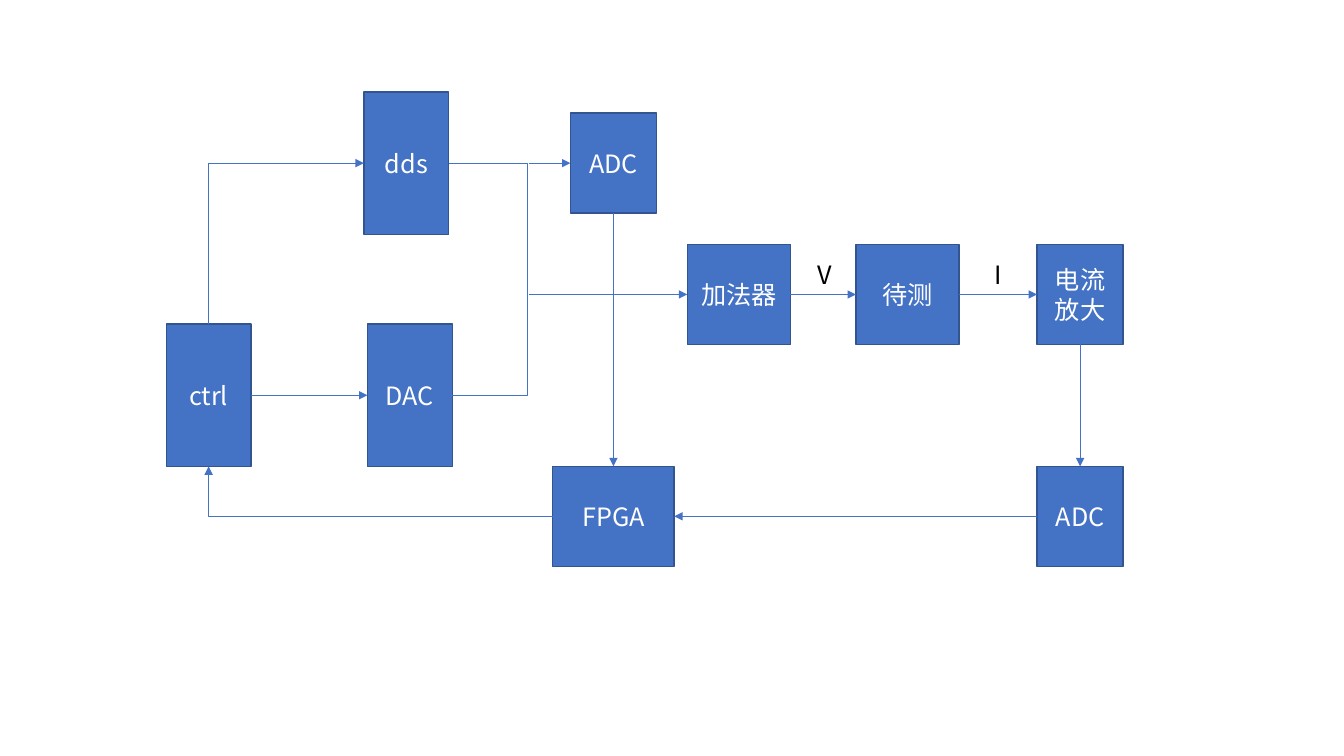
from lxml.etree import SubElement
from pptx import Presentation
from pptx.dml.color import RGBColor
from pptx.enum.shapes import MSO_CONNECTOR as Connector, MSO_SHAPE as Shape
from pptx.enum.text import MSO_ANCHOR as Anchor, MSO_AUTO_SIZE as AutoSize, PP_ALIGN as Align
from pptx.oxml.ns import qn
from pptx.util import Cm, Pt

FONT = "Noto Sans CJK SC"
COLORS = {"block": "4472C4", "border": "325491", "light": "FFFFFF", "dark": "000000"}
ROWS = {"source": 4.11, "signal": 7.42, "control": 9.96, "digital": 13.01}
SIZES = {"tall": (2.14, 3.59), "square": (2.6, 2.52), "narrow": (2.17, 2.52), "wide": (3.06, 2.52)}
BLOCKS = [
    ("controller", "ctrl", 5.26, "control", "tall"),
    ("dds", "dds", 10.24, "source", "tall"),
    ("dac", "DAC", 10.33, "control", "tall"),
    ("source_adc", "ADC", 15.46, "source", "narrow"),
    ("adder", "加法器", 18.62, "signal", "square"),
    ("device", "待测", 22.87, "signal", "square"),
    ("amplifier", "电流放大", 27.22, "signal", "narrow"),
    ("current_adc", "ADC", 27.22, "digital", "narrow"),
    ("fpga", "FPGA", 15.46, "digital", "wide"),
]
TOP, LEFT, BOTTOM, RIGHT = range(4)
STRAIGHT_LINKS = [
    ("controller", RIGHT, "dac", LEFT),
    ("adder", RIGHT, "device", LEFT),
    ("device", RIGHT, "amplifier", LEFT),
    ("amplifier", BOTTOM, "current_adc", TOP),
    ("current_adc", LEFT, "fpga", RIGHT),
    ("source_adc", BOTTOM, "fpga", TOP),
]
CORNER_LINKS = [
    ("dds", LEFT, "controller", TOP, "headEnd"),
    ("fpga", LEFT, "controller", BOTTOM, "tailEnd"),
]
BUS_X = 13.28
TAP_X = 13.33
TAPS = ["source_adc", "adder"]
SIGNAL_LABELS = [("V", 20.35, 0.91), ("I", 24.82, 0.69)]
LABEL_TOP, LABEL_HEIGHT = 6.4, 1.02


def color(name):
    return RGBColor.from_string(COLORS[name])


def write(shape, text, color_name):
    shape.text_frame.text = text
    for run in shape.text_frame.paragraphs[0].runs:
        run.font.size = Pt(18)
        run.font.name = FONT
        run.font.color.rgb = color(color_name)
        SubElement(run.font._element, qn("a:ea"), typeface=FONT)


def add_block(text, center_x, row, size):
    width, height = SIZES[size]
    shape = slide.shapes.add_shape(
        Shape.RECTANGLE, Cm(center_x - width / 2), Cm(ROWS[row] - height / 2), Cm(width), Cm(height))
    shape.shadow.inherit = False
    shape.fill.solid()
    shape.fill.fore_color.rgb = color("block")
    shape.line.color.rgb = color("border")
    shape.line.width = Pt(1)
    write(shape, text, "light")
    shape.text_frame.word_wrap = True
    shape.text_frame.vertical_anchor = Anchor.MIDDLE
    shape.text_frame.paragraphs[0].alignment = Align.CENTER
    return shape


def add_link(kind, start, end, arrow=None):
    connector = slide.shapes.add_connector(kind, 0, 0, 0, 0)
    for anchor, connect in ((start, connector.begin_connect), (end, connector.end_connect)):
        if anchor:
            block, site = anchor
            connect(blocks[block], site)
    connector.line.color.rgb = color("block")
    connector.line.width = Pt(0.5)
    if arrow:
        SubElement(connector.line._get_or_add_ln(), qn("a:" + arrow), type="triangle")
    SubElement(connector._element.spPr, qn("a:effectLst"))
    return connector


presentation = Presentation()
presentation.slide_width, presentation.slide_height = Cm(33.87), Cm(19.05)
slide = presentation.slides.add_slide(presentation.slide_layouts[6])

blocks = {key: add_block(*block) for key, *block in BLOCKS}

for source, source_site, target, target_site in STRAIGHT_LINKS:
    add_link(Connector.STRAIGHT, (source, source_site), (target, target_site), "tailEnd")

for source, source_site, target, target_site, arrow in CORNER_LINKS:
    corner = add_link(Connector.ELBOW, (source, source_site), (target, target_site), arrow)
    corner._element.spPr.find(qn("a:prstGeom")).set("prst", "bentConnector2")

bus = add_link(Connector.ELBOW, ("dds", RIGHT), ("dac", RIGHT))
bend = round((Cm(BUS_X) - bus.begin_x) / (bus.end_x - bus.begin_x) * 100000)
adjustments = bus._element.spPr.find(qn("a:prstGeom")).get_or_add_avLst()
SubElement(adjustments, qn("a:gd"), name="adj1", fmla=f"val {bend}")

for target in TAPS:
    tap = add_link(Connector.STRAIGHT, None, (target, LEFT), "tailEnd")
    tap.begin_x, tap.begin_y = Cm(TAP_X), tap.end_y

for text, left, width in SIGNAL_LABELS:
    label = slide.shapes.add_textbox(Cm(left), Cm(LABEL_TOP), Cm(width), Cm(LABEL_HEIGHT))
    write(label, text, "dark")
    label.text_frame.word_wrap = False
    label.text_frame.auto_size = AutoSize.SHAPE_TO_FIT_TEXT

presentation.save("out.pptx")
